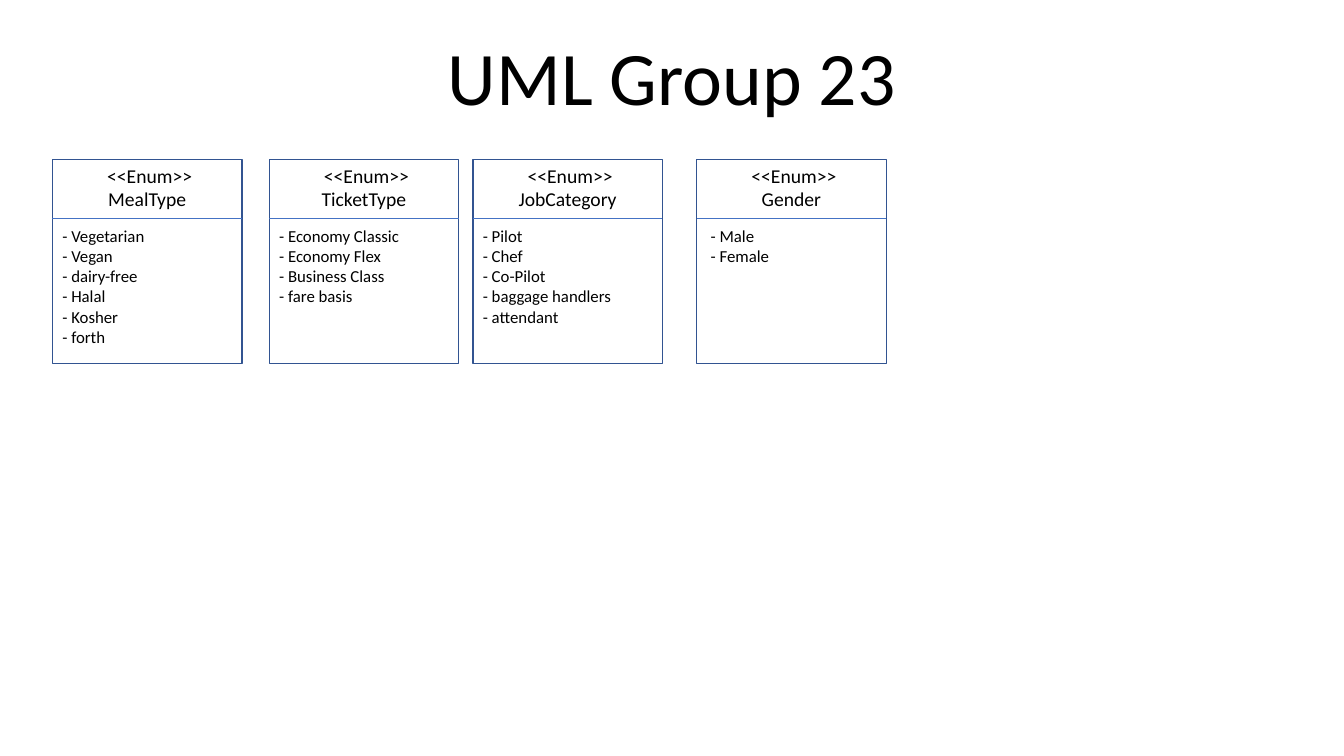
"""Build the UML slide with four enum boxes."""
from dataclasses import dataclass

from lxml import etree
from pptx import Presentation
from pptx.dml.color import RGBColor
from pptx.enum.shapes import MSO_CONNECTOR, MSO_SHAPE
from pptx.enum.text import MSO_ANCHOR, MSO_AUTO_SIZE, PP_ALIGN
from pptx.oxml.ns import qn
from pptx.util import Inches, Pt


@dataclass(frozen=True)
class Theme:
    font: str = "Calibri"
    text: RGBColor = RGBColor(0, 0, 0)
    border: RGBColor = RGBColor(0x32, 0x54, 0x91)
    divider: RGBColor = RGBColor(0x44, 0x72, 0xC4)
    title: Pt = Pt(54)
    heading: Pt = Pt(14)
    body: Pt = Pt(12)


theme = Theme()


def write(sp, lines, size, align, anchor=MSO_ANCHOR.TOP):
    tf = sp.text_frame
    tf.text = "\n".join(lines)
    tf.word_wrap = False
    tf.auto_size = MSO_AUTO_SIZE.SHAPE_TO_FIT_TEXT
    tf.vertical_anchor = anchor
    for p in tf.paragraphs:
        p.alignment = align
        p.font.name = theme.font
        p.font.size = size
        p.font.color.rgb = theme.text


def add_text(shapes, x, y, w, h, lines, size, align):
    sp = shapes.add_textbox(Inches(x), Inches(y), Inches(w), Inches(h))
    write(sp, lines, size, align)


prs = Presentation()
prs.slide_width, prs.slide_height = Inches(13.33), Inches(7.5)
s = prs.slides.add_slide(prs.slide_layouts[5])

title = s.shapes.title
title.left, title.top = Inches(4.32), Inches(0.25)
title.width, title.height = Inches(4.69), Inches(1.01)
write(title, ["UML Group 23"], theme.title, PP_ALIGN.CENTER)

TOP, WIDTH, HEIGHT = 1.58, 1.88, 2.03
DIVIDER_Y = 2.17

# name, left, name width, list indent, list width, values
enums = [
    ("MealType", 0.52, 0.99, 0, 1.02,
     ["Vegetarian", "Vegan", "dairy-free", "Halal", "Kosher", "forth"]),
    ("TicketType", 2.67, 1.05, 0, 1.41,
     ["Economy Classic", "Economy Flex", "Business Class", "fare basis"]),
    ("JobCategory", 4.69, 1.19, 0, 1.48,
     ["Pilot", "Chef", "Co-Pilot", "baggage handlers", "attendant"]),
    ("Gender", 6.91, 0.8, 0.04, 0.79, ["Male", "Female"]),
]

for name, x, name_w, indent, list_w, values in enums:
    shapes = s.shapes.add_group_shape().shapes

    box = shapes.add_shape(MSO_SHAPE.RECTANGLE, Inches(x), Inches(TOP),
                           Inches(WIDTH), Inches(HEIGHT))
    box.shadow.inherit = False
    box.fill.background()
    box.line.color.rgb = theme.border
    box.line.width = Pt(1)

    divider = shapes.add_connector(MSO_CONNECTOR.STRAIGHT, Inches(x), Inches(DIVIDER_Y),
                                   Inches(x + WIDTH), Inches(DIVIDER_Y))
    divider.line.color.rgb = theme.divider
    divider.line.width = Pt(0.5)
    etree.SubElement(divider._element.spPr, qn("a:effectLst"))

    add_text(shapes, x + (WIDTH - name_w) / 2, 1.81, name_w, 0.34,
             [name], theme.heading, PP_ALIGN.CENTER)
    add_text(shapes, x + indent, 2.19, list_w, 0.1 + 0.2 * len(values),
             [f"- {value}" for value in values], theme.body, PP_ALIGN.LEFT)
    add_text(shapes, x + 0.44, TOP, 1.05, 0.34,
             ["<<Enum>>"], theme.heading, PP_ALIGN.CENTER)

prs.save("out.pptx")
